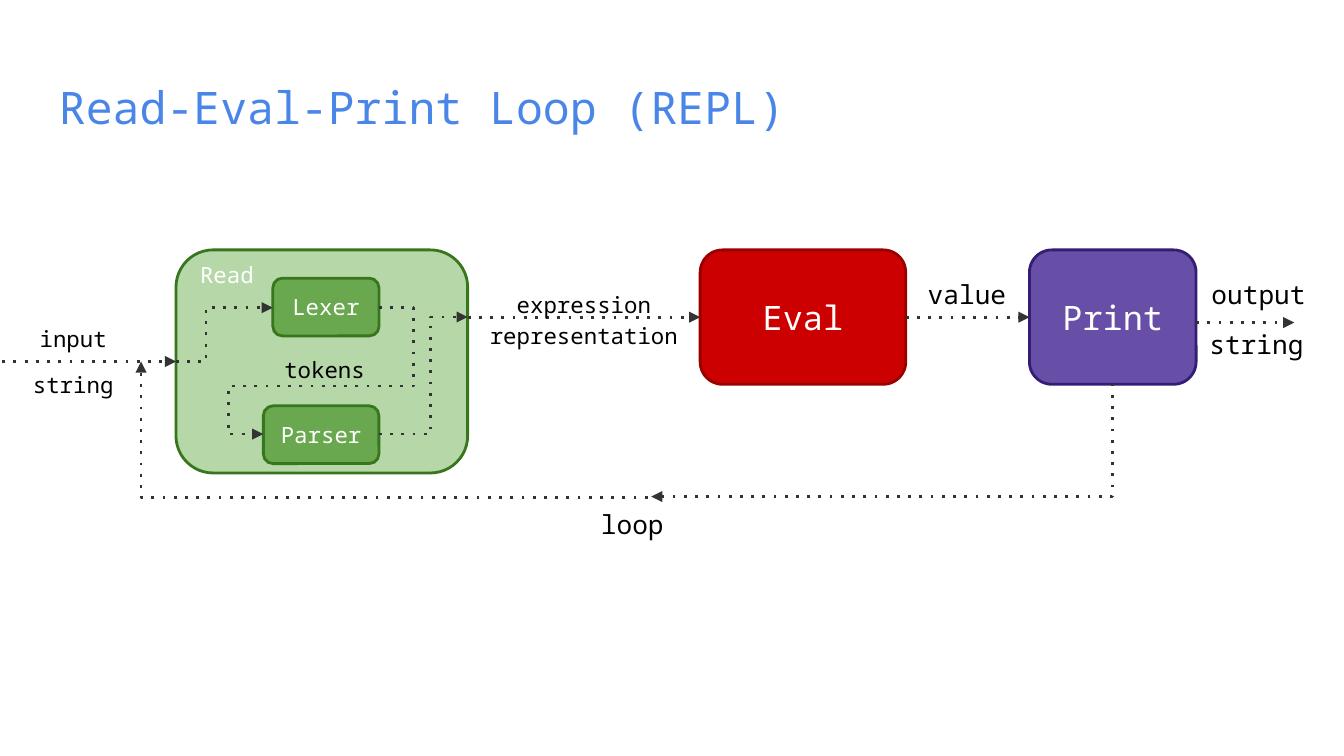
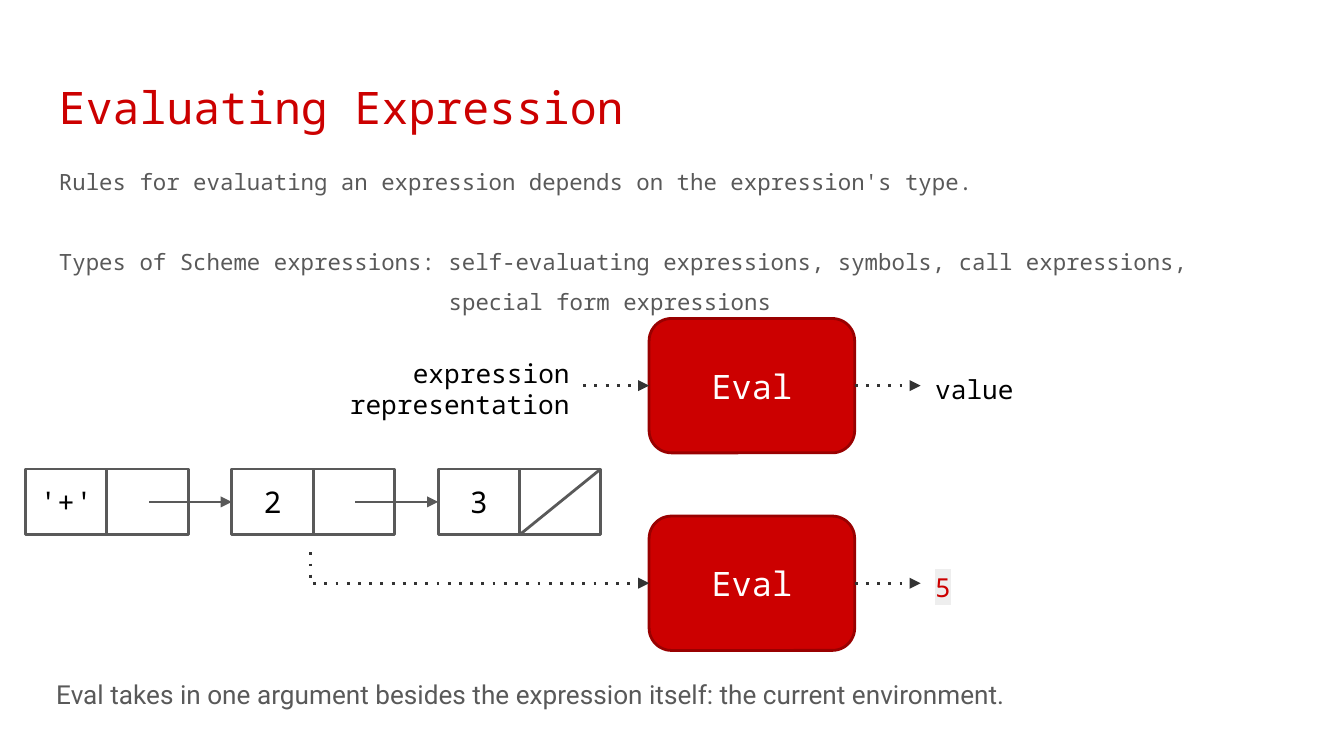
from dataclasses import dataclass

from lxml.etree import SubElement
from pptx import Presentation
from pptx.dml.color import RGBColor
from pptx.enum.shapes import MSO_CONNECTOR, MSO_SHAPE
from pptx.enum.text import MSO_ANCHOR, PP_ALIGN
from pptx.oxml.ns import qn
from pptx.util import Inches, Pt


@dataclass(frozen=True)
class Theme:
    mono: str = "Noto Sans Mono"
    sans: str = "Roboto"
    title: int = 24
    stage: int = 18
    cell: int = 16
    label: int = 14
    small: int = 12
    stroke: float = 1.5
    black: str = "000000"
    white: str = "FFFFFF"
    grey: str = "595959"
    flow: str = "333333"
    blue: str = "4A86E8"
    red: str = "CC0000"
    dark_red: str = "990000"
    purple: str = "674EA7"
    dark_purple: str = "351C75"
    pale_green: str = "B6D7A8"
    green: str = "6AA84F"
    dark_green: str = "38761D"
    highlight: str = "EEEEEE"


theme = Theme()
LEFT, CENTER, RIGHT = PP_ALIGN.LEFT, PP_ALIGN.CENTER, PP_ALIGN.RIGHT

deck = Presentation()
deck.slide_width = Inches(10)
deck.slide_height = Inches(5.625)
GRID = deck.slide_width / 100


def put(slide, text, box, size, color, align=LEFT, fill=None, edge=None,
        outline=MSO_SHAPE.ROUNDED_RECTANGLE, font=theme.mono, spacing=None):
    place = [round(length * GRID) for length in box]
    if fill:
        item = slide.shapes.add_shape(outline, *place)
        item.shadow.inherit = False
        item.fill.solid()
        item.fill.fore_color.rgb = RGBColor.from_string(fill)
        item.line.color.rgb = RGBColor.from_string(edge)
        item.line.width = Pt(theme.stroke)
    else:
        item = slide.shapes.add_textbox(*place)
    frame = item.text_frame
    frame.word_wrap = True
    frame.margin_left = frame.margin_right = Inches(0.1)
    frame.margin_top = frame.margin_bottom = Inches(0.1)
    frame.vertical_anchor = MSO_ANCHOR.MIDDLE if fill else MSO_ANCHOR.TOP
    frame.text = text
    for paragraph in frame.paragraphs:
        paragraph.alignment = align
        paragraph.line_spacing = spacing
        for run in paragraph.runs:
            run.font.name = font
            run.font.size = Pt(size)
            run.font.color.rgb = RGBColor.from_string(color)
    return item


def link(slide, begin, end, bends=None, turn=0, source=None, target=None,
         color=theme.flow, dotted=True, arrow=True):
    kind = MSO_CONNECTOR.STRAIGHT if bends is None else MSO_CONNECTOR.ELBOW
    line = slide.shapes.add_connector(
        kind, *[round(length * GRID) for length in (*begin, *end)])
    properties = line._element.spPr
    if bends is not None:
        geometry = properties.find(qn("a:prstGeom"))
        geometry.set("prst", f"bentConnector{len(bends) + 2}")
        for number, share in enumerate(bends, 1):
            SubElement(geometry.find(qn("a:avLst")), qn("a:gd"),
                       name=f"adj{number}", fmla=f"val {round(share * 100000)}")
    if turn:
        properties.find(qn("a:xfrm")).set("rot", str(turn * 60000))
    if source is not None:
        line.begin_connect(source, 3)
    if target is not None:
        line.end_connect(target, 1)
    line.line.color.rgb = RGBColor.from_string(color)
    line.line.width = Pt(theme.stroke)
    stroke = properties.find(qn("a:ln"))
    if dotted:
        SubElement(stroke, qn("a:prstDash"), val="dot")
    if arrow:
        SubElement(stroke, qn("a:tailEnd"), type="triangle")
    SubElement(properties, qn("a:effectLst"))


repl, evaluating = [deck.slides.add_slide(deck.slide_layouts[6]) for _ in range(2)]
for slide, heading, color in (
        (repl, "Read-Eval-Print Loop (REPL)", theme.blue),
        (evaluating, "Evaluating Expression", theme.red)):
    put(slide, heading, (3.4, 4.9, 93.2, 6.3), theme.title, color)

STAGE_TOP, STAGE_HEIGHT, EVAL_WIDTH = 18.6, 10, 15.3
STAGE_MIDDLE = STAGE_TOP + STAGE_HEIGHT / 2
READ_MIDDLE = 26.9

read = put(repl, "Read", (13.1, STAGE_TOP, 21.7, 16.6), theme.small, theme.white,
           fill=theme.pale_green, edge=theme.dark_green)
read.text_frame.vertical_anchor = MSO_ANCHOR.TOP
read.text_frame.margin_top = 0
evaluator = put(repl, "Eval", (52.1, STAGE_TOP, EVAL_WIDTH, STAGE_HEIGHT),
                theme.stage, theme.white, CENTER, theme.red, theme.dark_red)
printer = put(repl, "Print", (76.6, STAGE_TOP, 12.4, STAGE_HEIGHT),
              theme.stage, theme.white, CENTER, theme.purple, theme.dark_purple)
for part, box in (("Lexer", (20.3, 20.7, 7.9, 4.3)),
                  ("Parser", (19.6, 30.2, 8.6, 4.3))):
    put(repl, part, box, theme.small, theme.white, CENTER,
        theme.green, theme.dark_green)

link(repl, (-1.5, READ_MIDDLE), (13.1, READ_MIDDLE), target=read)
link(repl, (34.8, STAGE_MIDDLE), (52.1, STAGE_MIDDLE), target=evaluator)
link(repl, (67.4, STAGE_MIDDLE), (76.6, STAGE_MIDDLE),
     source=evaluator, target=printer)
link(repl, (89, 24), (96.3, 24))
link(repl, (13.1, READ_MIDDLE), (20.3, 22.9), (0.31,))
link(repl, (28.2, 22.9), (19.6, 32.3), (-0.3, 0.62, 1.3))
link(repl, (28.2, 32.3), (34.8, STAGE_MIDDLE), (0.58,))
link(repl, (61.4, 15.6), (69.8, 49.9), (), turn=90)
link(repl, (48.2, 37), (10.5, READ_MIDDLE), (1,))

for text, box, size, spacing in (
        ("value", (67.4, 19.7, 9.1, 4.3), theme.label, None),
        ("expression\nrepresentation", (34.8, 20.4, 17.3, 6.3), theme.small, 1.15),
        ("loop", (40, 36.8, 14.1, 4.3), theme.label, None),
        ("tokens", (17.1, 25.5, 14.1, 4.3), theme.small, None)):
    put(repl, text, box, size, theme.black, CENTER, spacing=spacing)
for text, box, size, last_align in (
        ("input\nstring", (0.8, 23.2, 9.3, 6.3), theme.small, CENTER),
        ("output\nstring", (89, 19.7, 9.3, 6.3), theme.label, LEFT)):
    ends = put(repl, text, box, size, theme.black, CENTER)
    last = ends.text_frame.paragraphs[1]
    last.alignment = last_align
    last.space_before = last.space_after = Pt(10)

rules = put(
    evaluating,
    "Rules for evaluating an expression depends on the expression's type.\n"
    "Types of Scheme expressions: self-evaluating expressions, symbols, call expressions,\n"
    "special form expressions",
    (3.4, 10.5, 93.2, 12.5), theme.small, theme.grey, spacing=1.5)
_, types, more_types = rules.text_frame.paragraphs
types.space_before = Pt(21.4)
more_types._p.get_or_add_pPr().set("marL", str(Inches(2.9)))

EVAL_LEFT, ARROW = 48.3, 4.9
EVAL_RIGHT = EVAL_LEFT + EVAL_WIDTH
for top, result, color in ((23.7, "value", theme.black), (38.4, "5", theme.red)):
    middle = top + STAGE_HEIGHT / 2
    call = put(evaluating, "Eval", (EVAL_LEFT, top, EVAL_WIDTH, STAGE_HEIGHT),
               theme.stage, theme.white, CENTER, theme.red, theme.dark_red)
    link(evaluating, (EVAL_RIGHT, middle), (EVAL_RIGHT + ARROW, middle), source=call)
    answer = put(evaluating, result, (68.6, middle - 1.9, 8.5, 3.9), theme.label, color)
    if result == "5":
        link(evaluating, (23.1, 41.1), (EVAL_LEFT, middle), (0,))
        run = answer.text_frame.paragraphs[0].runs[0]
        mark = SubElement(run._r.rPr, qn("a:highlight"))
        SubElement(mark, qn("a:srgbClr"), val=theme.highlight)
        run._r.rPr.find(qn("a:solidFill")).addnext(mark)
    else:
        link(evaluating, (EVAL_LEFT - ARROW, middle), (EVAL_LEFT, middle), target=call)

put(evaluating, "expression\nrepresentation", (23.8, 25.6, 19.6, 6.2),
    theme.label, theme.black, RIGHT)

PAIR_LEFT, PAIR_STEP, CELL_TOP, CELL_WIDTH, CELL_HEIGHT = 1.9, 15.35, 34.9, 6.05, 4.9
cell_middle = CELL_TOP + CELL_HEIGHT / 2
heads = []
for index, value in enumerate(("'+'", "2", "3")):
    left = PAIR_LEFT + index * PAIR_STEP
    head, rest = [
        put(evaluating, content,
            (left + side * CELL_WIDTH, CELL_TOP, CELL_WIDTH, CELL_HEIGHT),
            theme.cell, theme.black, CENTER, theme.white, theme.grey,
            MSO_SHAPE.RECTANGLE)
        for side, content in enumerate((value, ""))]
    heads.append(head)
for index, following in enumerate(heads[1:]):
    left = PAIR_LEFT + index * PAIR_STEP
    link(evaluating, (left + 9.2, cell_middle), (left + PAIR_STEP, cell_middle),
         target=following, color=theme.grey, dotted=False)
nil_left = PAIR_LEFT + 2 * PAIR_STEP + CELL_WIDTH
link(evaluating, (nil_left, CELL_TOP + CELL_HEIGHT), (nil_left + CELL_WIDTH, CELL_TOP),
     color=theme.grey, dotted=False, arrow=False)

put(evaluating,
    "Eval takes in one argument besides the expression itself: the current environment.",
    (3.2, 49.1, 90.7, 4.4), theme.label, theme.grey, font=theme.sans, spacing=1.15)

deck.save("out.pptx")
